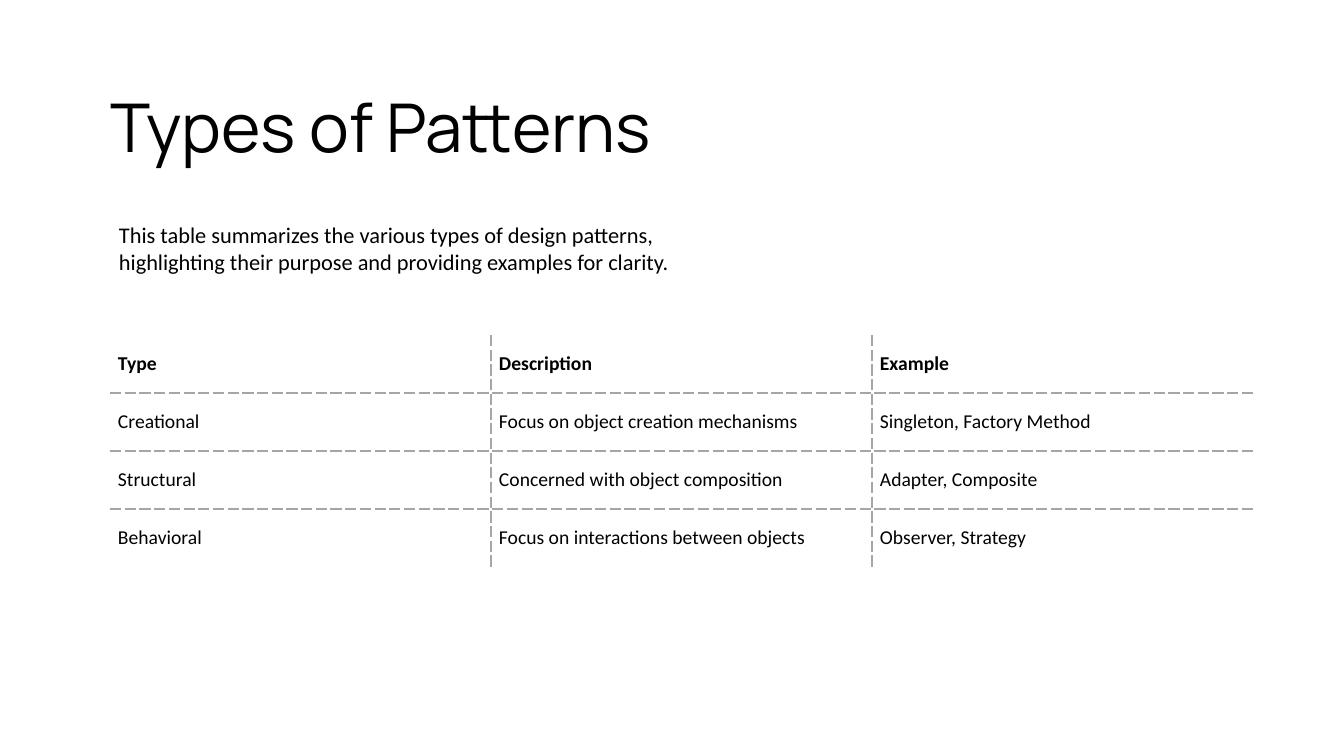
import pptx
import pptx.dml.color
import pptx.enum.text
import pptx.oxml
import pptx.oxml.ns
import pptx.util

TITLE = "Types of Patterns"
SUMMARY = ("This table summarizes the various types of design patterns, "
           "highlighting their purpose and providing examples for clarity.")
PATTERNS = [
    ("Type", "Description", "Example"),
    ("Creational", "Focus on object creation mechanisms", "Singleton, Factory Method"),
    ("Structural", "Concerned with object composition", "Adapter, Composite"),
    ("Behavioral", "Focus on interactions between objects", "Observer, Strategy"),
]

BLACK = pptx.dml.color.RGBColor(0x00, 0x00, 0x00)
GRID_GRAY = pptx.dml.color.RGBColor(0xA6, 0xA6, 0xA6)
BODY_FONT = "Calibri"
TITLE_FONT = "Manrope"
ANCHOR = pptx.enum.text.MSO_ANCHOR

# Lengths in px
SLIDE_SIZE = (1344, 756)
TITLE_BOX = (101, 80, 1151, 145)
SUMMARY_BOX = (109, 205, 665, 87)
TABLE_LEFT, TABLE_TOP = 110, 335
COLUMN_WIDTH, ROW_HEIGHT = 381, 58
CELL_MARGIN = 8


def px(length):
    return pptx.util.Emu(round(length * 914400 / 100.8))


def write(frame, text, size, font=BODY_FONT, bold=False, color=BLACK):
    run = frame.paragraphs[0].add_run()
    run.text = text
    run.font.size = pptx.util.Pt(size)
    run.font.name = font
    run.font.bold = bold
    run.font.color.rgb = color


def add_text(slide, box, text, anchor, **text_format):
    frame = slide.shapes.add_textbox(*map(px, box)).text_frame
    frame.word_wrap = True
    frame.vertical_anchor = anchor
    write(frame, text, **text_format)


def set_borders(cell, inner_sides):
    """Dash the sides shared with a neighbouring cell and clear the others."""
    properties = cell._tc.get_or_add_tcPr()
    for position, side in enumerate("LRTB"):
        if side in inner_sides:
            line = (f'<a:solidFill><a:srgbClr val="{GRID_GRAY}"/></a:solidFill>'
                    '<a:prstDash val="sysDash"/>')
        else:
            line = "<a:noFill/>"
        border = pptx.oxml.parse_xml(
            f'<a:ln{side} {pptx.oxml.ns.nsdecls("a")} w="{pptx.util.Pt(1)}">'
            f'{line}</a:ln{side}>')
        properties.insert(position, border)


def add_pattern_table(slide):
    row_count, column_count = len(PATTERNS), len(PATTERNS[0])
    table = slide.shapes.add_table(
        row_count, column_count, px(TABLE_LEFT), px(TABLE_TOP),
        px(column_count * COLUMN_WIDTH), px(row_count * ROW_HEIGHT)).table
    table.first_row = table.horz_banding = False
    for column in table.columns:
        column.width = px(COLUMN_WIDTH)
    for row_index, entries in enumerate(PATTERNS):
        table.rows[row_index].height = px(ROW_HEIGHT)
        for column_index, entry in enumerate(entries):
            cell = table.cell(row_index, column_index)
            cell.fill.background()
            cell.vertical_anchor = ANCHOR.MIDDLE
            cell.margin_left = cell.margin_right = px(CELL_MARGIN)
            cell.margin_top = cell.margin_bottom = px(CELL_MARGIN)
            write(cell.text_frame, entry, size=14, bold=row_index == 0)
            has_neighbour = {
                "L": column_index > 0,
                "R": column_index < column_count - 1,
                "T": row_index > 0,
                "B": row_index < row_count - 1,
            }
            set_borders(cell, [side for side in has_neighbour if has_neighbour[side]])


def main():
    deck = pptx.Presentation()
    deck.slide_width, deck.slide_height = map(px, SLIDE_SIZE)
    slide = deck.slides.add_slide(deck.slide_layouts[6])
    add_pattern_table(slide)
    add_text(slide, TITLE_BOX, TITLE, ANCHOR.TOP, size=48, font=TITLE_FONT)
    add_text(slide, SUMMARY_BOX, SUMMARY, ANCHOR.MIDDLE, size=16)
    deck.save("out.pptx")


if __name__ == "__main__":
    main()
